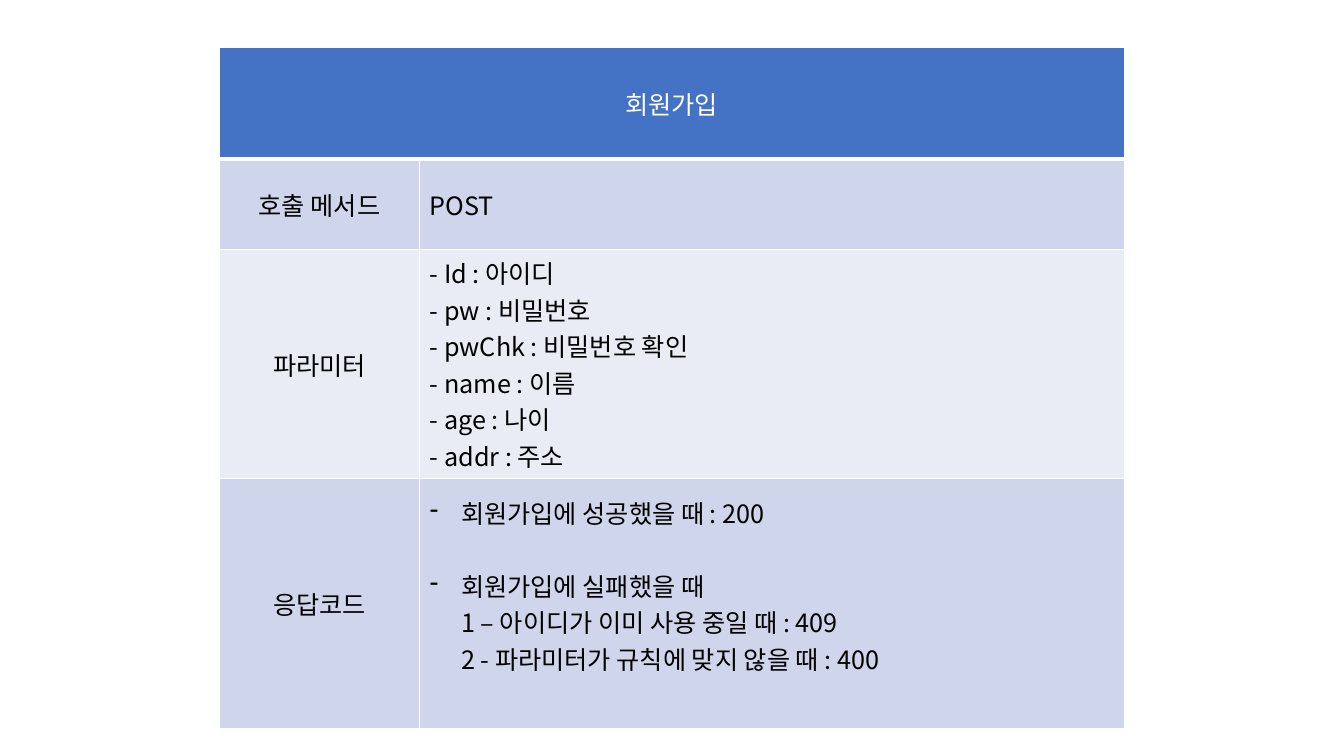
from dataclasses import dataclass

from lxml import etree
from pptx import Presentation
from pptx.dml.color import RGBColor
from pptx.enum.text import MSO_ANCHOR, PP_ALIGN
from pptx.oxml.ns import qn
from pptx.table import _Cell
from pptx.util import Cm, Pt

CENTER, LEFT = PP_ALIGN.CENTER, PP_ALIGN.LEFT
MIDDLE = MSO_ANCHOR.MIDDLE
FONT = "Noto Sans CJK KR"
COLORS = {
    "header": "4472C4",
    "dark_band": "CFD5EA",
    "light_band": "E9EBF5",
    "white": "FFFFFF",
    "black": "000000",
}
COLUMN_WIDTHS = [Cm(5.06), Cm(17.76)]
HANGING_INDENT = Cm(0.79)
BULLET_GAP = Pt(26)


@dataclass
class ApiRow:
    label: str
    details: list[str]
    height: Cm
    fill: str
    color: str = "black"
    bulleted: bool = False
    margin_bottom: Cm = Cm(0.13)


ROWS = [
    ApiRow("회원가입", [], Cm(2.81), "header", color="white"),
    ApiRow("호출 메서드", ["POST"], Cm(2.28), "dark_band"),
    ApiRow(
        "파라미터",
        ["- Id : 아이디", "- pw : 비밀번호", "- pwChk : 비밀번호 확인",
         "- name : 이름", "- age : 나이", "- addr : 주소"],
        Cm(3.38),
        "light_band",
    ),
    ApiRow(
        "응답코드",
        ["회원가입에 성공했을 때 : 200",
         "회원가입에 실패했을 때\n1 – 아이디가 이미 사용 중일 때 : 409\n"
         "2 - 파라미터가 규칙에 맞지 않을 때 : 400"],
        Cm(6.3),
        "dark_band",
        bulleted=True,
        margin_bottom=Cm(1.05),
    ),
]


def add_bullet(para) -> None:
    properties = para._p.get_or_add_pPr()
    properties.set("marL", str(HANGING_INDENT))
    properties.set("indent", str(-HANGING_INDENT))
    etree.SubElement(properties, qn("a:buChar"), char="-")


def write_text(cell: _Cell, paragraphs: list[str], *, color: str,
               align: PP_ALIGN = LEFT, bulleted: bool = False) -> None:
    frame = cell.text_frame
    for index, text in enumerate(paragraphs):
        para = frame.add_paragraph() if index else frame.paragraphs[0]
        para.alignment = align
        if bulleted:
            if index:
                para.space_before = BULLET_GAP
            add_bullet(para)
        for number, line in enumerate(text.split("\n")):
            if number:
                para.add_line_break()
            span = para.add_run()
            span.text = line
            span.font.size = Pt(18)
            span.font.bold = False
            span.font.name = FONT
            span.font.color.rgb = RGBColor.from_string(COLORS[color])
            etree.SubElement(span._r.get_or_add_rPr(), qn("a:ea"), typeface=FONT)


def style_cell(cell: _Cell, row: ApiRow, bottom_width: Pt) -> None:
    cell.vertical_anchor = MIDDLE
    cell.margin_bottom = row.margin_bottom
    cell.fill.solid()
    cell.fill.fore_color.rgb = RGBColor.from_string(COLORS[row.fill])
    properties = cell._tc.get_or_add_tcPr()
    widths = {"lnL": Pt(1), "lnR": Pt(1), "lnT": Pt(1), "lnB": bottom_width}
    for position, (side, width) in enumerate(widths.items()):
        border = etree.Element(qn(f"a:{side}"), w=str(width))
        paint = etree.SubElement(border, qn("a:solidFill"))
        etree.SubElement(paint, qn("a:srgbClr"), val=COLORS["white"])
        properties.insert(position, border)


def main() -> None:
    deck = Presentation()
    deck.slide_width, deck.slide_height = Cm(33.87), Cm(19.05)
    page = deck.slides.add_slide(deck.slide_layouts[6])

    # Table frame
    table = page.shapes.add_table(
        len(ROWS), len(COLUMN_WIDTHS), Cm(5.52), Cm(1.2),
        sum(COLUMN_WIDTHS), sum(row.height for row in ROWS),
    ).table
    table.first_row = False
    table.horz_banding = False
    for column, width in zip(table.columns, COLUMN_WIDTHS):
        column.width = width

    # Header and API rows
    for index, row in enumerate(ROWS):
        table.rows[index].height = row.height
        label, details = table.cell(index, 0), table.cell(index, 1)
        for cell in (label, details):
            style_cell(cell, row, Pt(1) if row.details else Pt(3))
        label.margin_bottom = Cm(0.13)
        write_text(label, [row.label], color=row.color, align=CENTER)
        if row.details:
            write_text(details, row.details, color=row.color, bulleted=row.bulleted)
        else:
            label.merge(details)

    deck.save("out.pptx")


if __name__ == "__main__":
    main()
